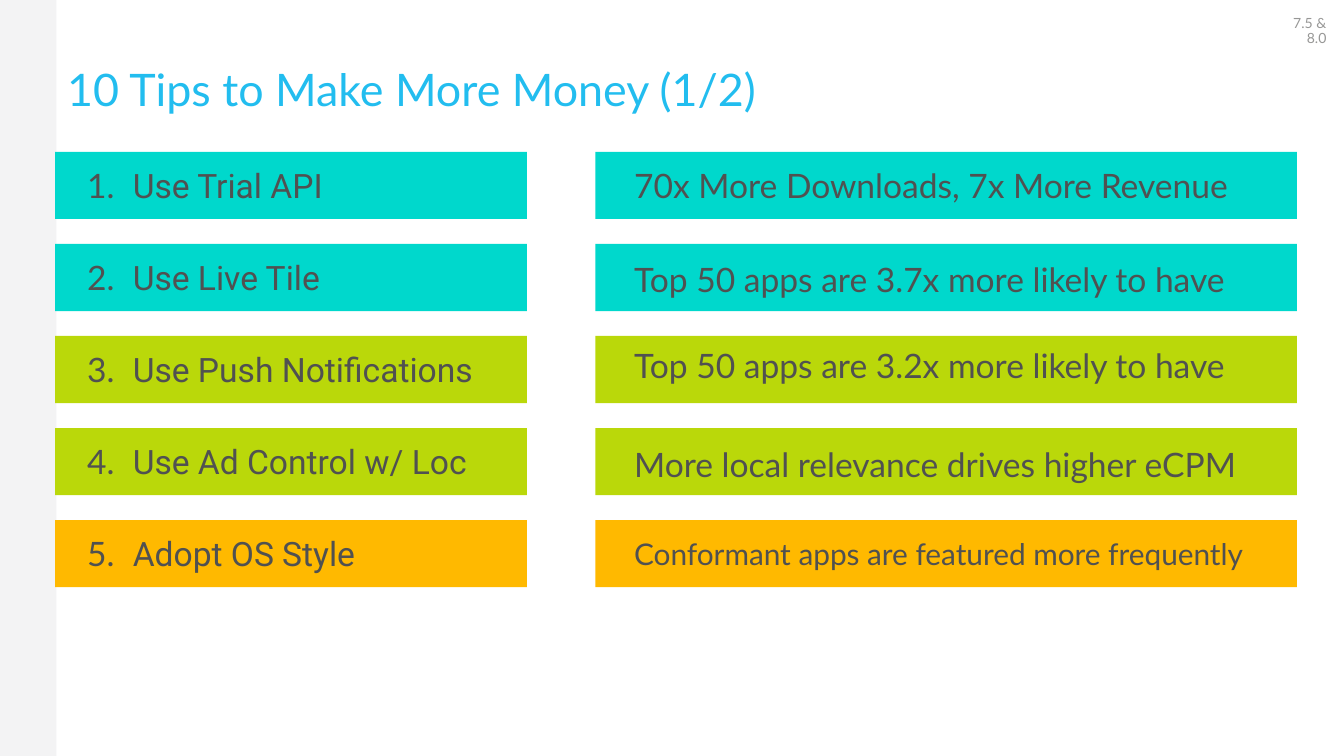
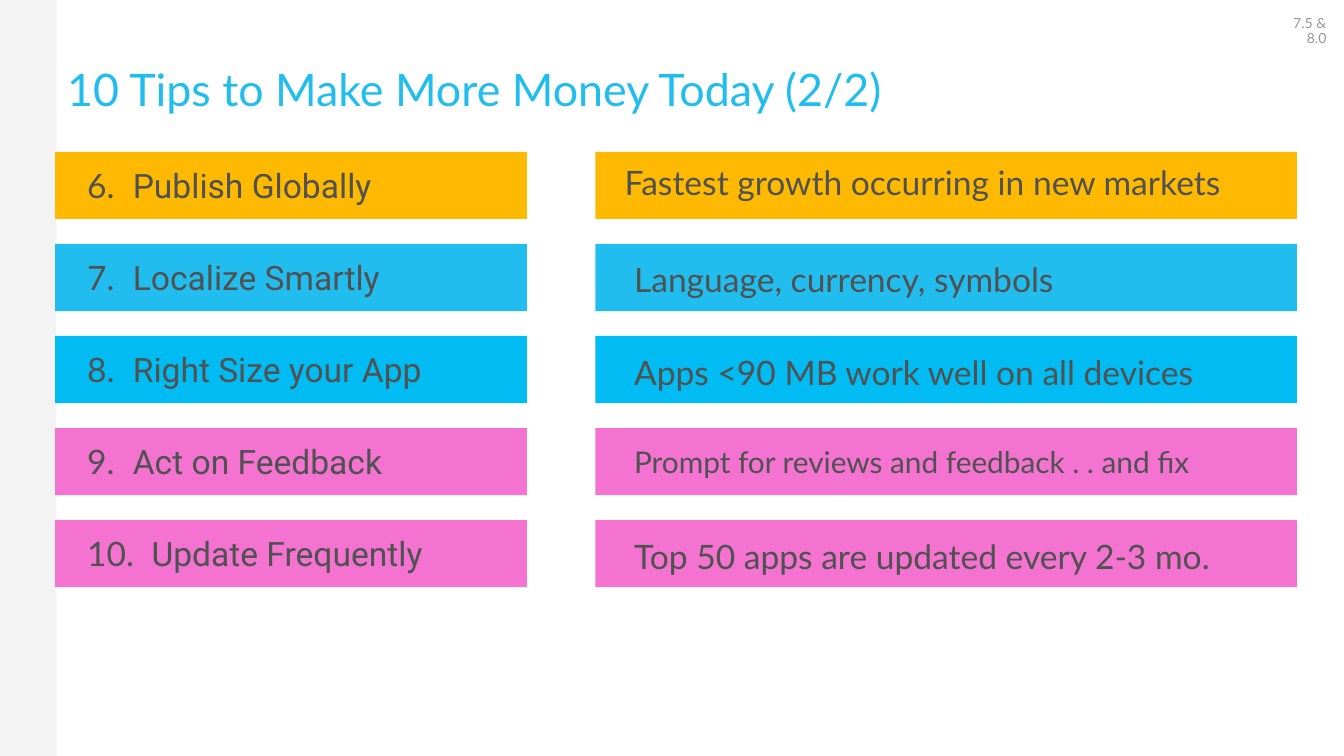
from collections import namedtuple
from dataclasses import dataclass

from lxml import etree
from pptx import Presentation
from pptx import util as u
from pptx.dml.color import RGBColor
from pptx.enum import shapes, text
from pptx.oxml.ns import qn

Tip = namedtuple("Tip", "number action reason color size drop shift", defaults=(18, 0.1, 0))

VERSIONS = "7.5 & 8.0"
SLIDES = [
    ("10 Tips to Make More Money (1/2)", [
        Tip(1, "Use Trial API", "70x More Downloads, 7x More Revenue", "teal", drop=0.08),
        Tip(2, "Use Live Tile", "Top 50 apps are 3.7x more likely to have", "teal"),
        Tip(3, "Use Push Notifications", "Top 50 apps are 3.2x more likely to have", "lime", drop=0.05),
        Tip(4, "Use Ad Control w/ Loc", "More local relevance drives higher eCPM", "lime"),
        Tip(5, "Adopt OS Style", "Conformant apps are featured more frequently", "amber", size=16),
    ]),
    ("10 Tips to Make More Money Today (2/2)", [
        Tip(6, "Publish Globally", "Fastest growth occurring in new markets", "amber", drop=0.06, shift=-0.07),
        Tip(7, "Localize Smartly", "Language, currency, symbols", "sky"),
        Tip(8, "Right Size your App", "Apps <90 MB work well on all devices", "azure"),
        Tip(9, "Act on Feedback", "Prompt for reviews and feedback . . and fix", "pink", size=16),
        Tip(10, "Update Frequently", "Top 50 apps are updated every 2-3 mo.", "pink"),
    ]),
]


@dataclass(frozen=True)
class Theme:
    teal: str = "00D8CC"
    lime: str = "BAD80A"
    amber: str = "FFB900"
    sky: str = "22BDEF"
    azure: str = "00BCF2"
    pink: str = "F472D0"
    band: str = "F3F3F4"
    ink: str = "505151"
    muted: str = "979796"
    font: str = "Lato"
    action_font: str = "Roboto"
    title_size: float = 24
    action_size: float = 18
    version_size: float = 7.5


THEME = Theme()
WIDTH, HEIGHT = 10, 10 * 9 / 16
BAND_WIDTH = 0.42
FIRST_ROW, LAST_ROW, ROWS = 1.13, 3.87, 5
PITCH = (LAST_ROW - FIRST_ROW) / (ROWS - 1)
BAR_HEIGHT, LABEL_HEIGHT = 0.5, 0.37
ACTION_LEFT, ACTION_WIDTH = 0.41, 3.51
REASON_LEFT, REASON_WIDTH = 4.43, 5.22
ACTION_INSET, ACTION_DROP = 0.14, 0.08
REASON_INSET = 0.19
DIGIT_WIDTH, NUMBER_GAP = 0.14, 0.2


def box(*lengths):
    return [u.Inches(length) for length in lengths]


def add_bar(parent, color, *place):
    bar = parent.add_shape(shapes.MSO_SHAPE.RECTANGLE, *box(*place))
    bar.shadow.inherit = False
    bar.fill.solid()
    bar.fill.fore_color.rgb = RGBColor.from_string(color)
    bar.line.fill.background()


def add_run(paragraph, words, size, color=THEME.ink, font=THEME.font):
    run = paragraph.add_run()
    run.text = words
    run.font.name = font
    run.font.size = u.Pt(size)
    run.font.color.rgb = RGBColor.from_string(color)


def add_label(parent, *place, margin=None):
    frame = parent.add_textbox(*box(*place)).text_frame
    frame.word_wrap = True
    if margin is not None:
        frame.margin_left = frame.margin_right = u.Inches(margin)
        frame.margin_top = frame.margin_bottom = u.Inches(margin)
    label = frame.paragraphs[0]
    label.line_spacing = 0.9
    return label


def add_tab(paragraph, position):
    stops = etree.SubElement(paragraph._p.get_or_add_pPr(), qn("a:tabLst"))
    etree.SubElement(stops, qn("a:tab"), pos=str(u.Inches(position)), algn="l")


def add_tip(slide, tip, top):
    row = slide.shapes.add_group_shape().shapes
    color = getattr(THEME, tip.color)
    add_bar(row, color, ACTION_LEFT, top, ACTION_WIDTH, BAR_HEIGHT)
    action = add_label(row, ACTION_LEFT + ACTION_INSET, top + ACTION_DROP,
                       ACTION_WIDTH - ACTION_INSET, LABEL_HEIGHT)
    add_tab(action, NUMBER_GAP + DIGIT_WIDTH * len(str(tip.number)))
    add_run(action, f"{tip.number}.\t", THEME.action_size)
    add_run(action, tip.action, THEME.action_size, font=THEME.action_font)

    add_bar(row, color, REASON_LEFT, top, REASON_WIDTH, BAR_HEIGHT)
    reason = add_label(row, REASON_LEFT + REASON_INSET + tip.shift, top + tip.drop,
                       REASON_WIDTH - 2 * REASON_INSET, LABEL_HEIGHT)
    add_run(reason, tip.reason, tip.size)


def add_title(slide, words):
    title = slide.shapes.title
    title.left, title.top, title.width, title.height = box(0.5, 0.44, WIDTH - 1, 0.39)
    frame = title.text_frame
    frame.margin_left = frame.margin_right = frame.margin_top = frame.margin_bottom = 0
    frame.vertical_anchor = text.MSO_ANCHOR.TOP
    frame.auto_size = text.MSO_AUTO_SIZE.NONE
    heading = frame.paragraphs[0]
    heading.alignment = text.PP_ALIGN.LEFT
    heading.line_spacing = 1.05
    add_run(heading, words, THEME.title_size, THEME.sky)


def add_tips_slide(deck, title, tips):
    slide = deck.slides.add_slide(deck.slide_layouts[5])
    add_title(slide, title)
    add_bar(slide.shapes, THEME.band, 0, 0, BAND_WIDTH, HEIGHT)
    for index, tip in enumerate(tips):
        add_tip(slide, tip, FIRST_ROW + index * PITCH)
    versions = add_label(slide.shapes, 9.38, 0.05, 0.56, 0.27, margin=0.07)
    versions.alignment = text.PP_ALIGN.RIGHT
    add_run(versions, VERSIONS, THEME.version_size, THEME.muted)


def main():
    deck = Presentation()
    deck.slide_width, deck.slide_height = box(WIDTH, HEIGHT)
    for title, tips in SLIDES:
        add_tips_slide(deck, title, tips)
    deck.save("out.pptx")


if __name__ == "__main__":
    main()
